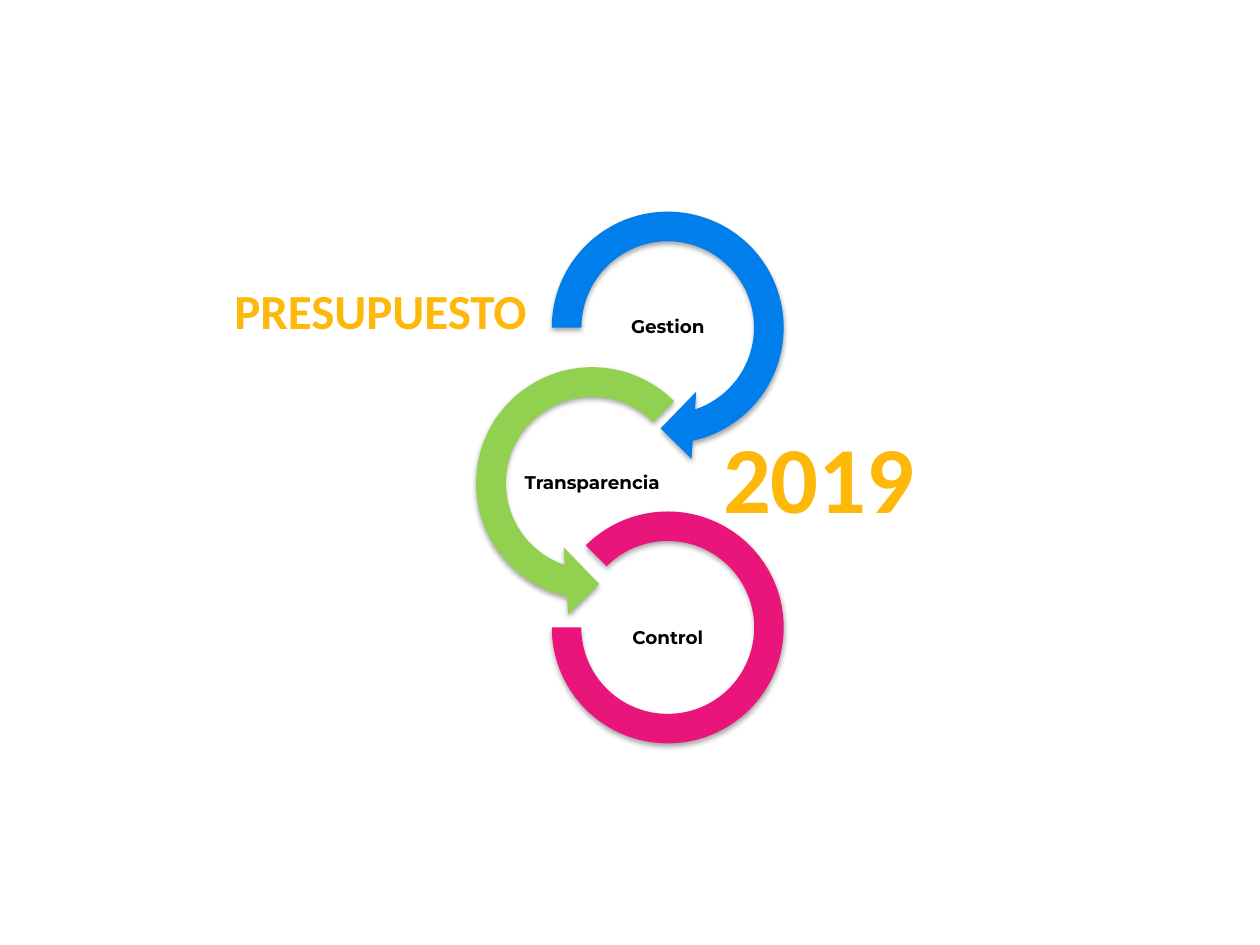
import dataclasses

import lxml.etree
import pptx
import pptx.dml.color
import pptx.enum.shapes
import pptx.enum.text
import pptx.oxml
import pptx.oxml.ns
import pptx.util

SHAPES = pptx.enum.shapes.MSO_SHAPE
NAMESPACE = 'xmlns:a="http://schemas.openxmlformats.org/drawingml/2006/main"'


@dataclasses.dataclass(frozen=True)
class Theme:
    """Colours, fonts, type sizes and the grid of the ring chain."""

    blue: str = "007EEB"
    green: str = "92D050"
    pink: str = "EA157A"
    gold: str = "FEB80A"
    outline: str = "FEFEFE"
    black: str = "000000"
    label_font: str = "Montserrat"
    title_font: str = "Calibri"
    label_size: float = 10.5
    title_size: float = 28
    year_size: float = 54
    columns: tuple = (4.7, 5.3)
    first_row: float = 2.6
    row_pitch: float = 1.235


THEME = Theme()


def centred_box(centre_x, centre_y, width, height):
    """Return left, top, width and height in EMU around a centre in inches."""
    lengths = (centre_x - width / 2, centre_y - height / 2, width, height)
    return [pptx.util.Inches(length) for length in lengths]


def grid_point(column, row):
    """Return the centre of a grid cell in inches."""
    return THEME.columns[column], THEME.first_row + row * THEME.row_pitch


def add_soft_shadow(shape):
    """Give a shape a soft shadow that falls straight down."""
    shape.shadow.inherit = False
    effects = shape._element.spPr.find(pptx.oxml.ns.qn("a:effectLst"))
    effects.append(pptx.oxml.parse_xml(
        f'<a:outerShdw {NAMESPACE} blurRad="{pptx.util.Pt(3.1)}" dist="{pptx.util.Pt(1.8)}" '
        f'dir="5400000" rotWithShape="0"><a:srgbClr val="{THEME.black}">'
        '<a:alpha val="35000"/></a:srgbClr></a:outerShdw>'))


def add_ring(slide, kind, centre, size, colour, adjustments):
    """Add one ring-shaped link of the chain."""
    shape = slide.shapes.add_shape(kind, *centred_box(*centre, size, size))
    for index, value in enumerate(adjustments):
        shape.adjustments[index] = value
    shape.fill.solid()
    shape.fill.fore_color.rgb = pptx.dml.color.RGBColor.from_string(colour)
    shape.line.fill.background()
    add_soft_shadow(shape)


def add_text(slide, text, box, font_name, size, colour):
    """Add a centred bold line of text and return its shape."""
    shape = slide.shapes.add_textbox(*box)
    shape.text_frame.text = text
    paragraph = shape.text_frame.paragraphs[0]
    paragraph.alignment = pptx.enum.text.PP_ALIGN.CENTER
    font = paragraph.runs[0].font
    font.name = font_name
    font.size = pptx.util.Pt(size)
    font.bold = True
    font.color.rgb = pptx.dml.color.RGBColor.from_string(colour)
    return shape


def add_label(slide, text, centre):
    """Add the caption in the middle of a ring."""
    shape = add_text(slide, text, centred_box(*centre, 1.19, 0.59),
                     THEME.label_font, THEME.label_size, THEME.black)
    frame = shape.text_frame
    frame.word_wrap = True
    frame.vertical_anchor = pptx.enum.text.MSO_ANCHOR.MIDDLE
    for side in ("left", "top", "right", "bottom"):
        setattr(frame, f"margin_{side}", pptx.util.Inches(0.01))
    frame.paragraphs[0].line_spacing = 0.9


def add_headline(slide, text, box, size):
    """Add a large gold word with a pale outline."""
    shape = add_text(slide, text, box, THEME.title_font, size, THEME.gold)
    frame = shape.text_frame
    frame.word_wrap = False
    frame.auto_size = pptx.enum.text.MSO_AUTO_SIZE.SHAPE_TO_FIT_TEXT
    properties = frame.paragraphs[0].runs[0].font._element
    properties.insert(0, pptx.oxml.parse_xml(
        f'<a:ln {NAMESPACE} w="{pptx.util.Pt(1.5)}"><a:solidFill>'
        f'<a:srgbClr val="{THEME.outline}"/></a:solidFill></a:ln>'))


def main():
    """Build the slide and save it."""
    presentation = pptx.Presentation()
    presentation.slide_width = pptx.util.Inches(10)
    presentation.slide_height = pptx.util.Inches(7.5)
    slide = presentation.slides.add_slide(presentation.slide_layouts[6])

    links = [
        ("Gestion", 1, SHAPES.CIRCULAR_ARROW, 2.14, 0, THEME.blue,
         (0.11, 11.423, 45, 108, 0.125)),
        ("Transparencia", 0, SHAPES.LEFT_CIRCULAR_ARROW, 2.14, 0, THEME.green,
         (0.11, 11.423, 63, 189, 0.125)),
        ("Control", 1, SHAPES.BLOCK_ARC, 1.84, -0.09, THEME.pink,
         (135, 108, 0.127)),
    ]
    for row, (text, column, kind, size, lift, colour, adjustments) in enumerate(links):
        centre_x, centre_y = grid_point(column, row)
        add_ring(slide, kind, (centre_x, centre_y + lift), size, colour, adjustments)
        add_label(slide, text, (centre_x, centre_y))

    add_headline(slide, "PRESUPUESTO", centred_box(3.02, 2.465, 2.54, 0.57), THEME.title_size)
    add_headline(slide, "2019", centred_box(6.5, 3.785, 1.74, 1.01), THEME.year_size)
    presentation.save("out.pptx")


if __name__ == "__main__":
    main()
